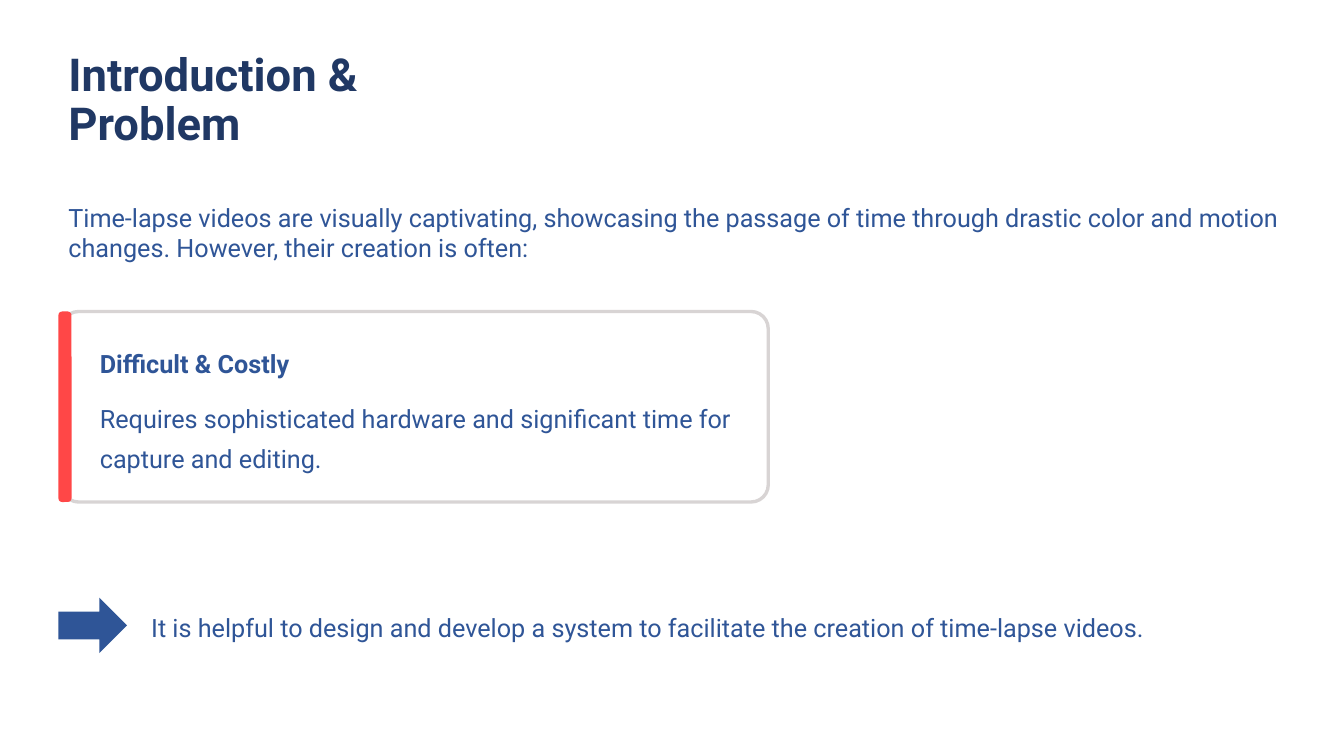
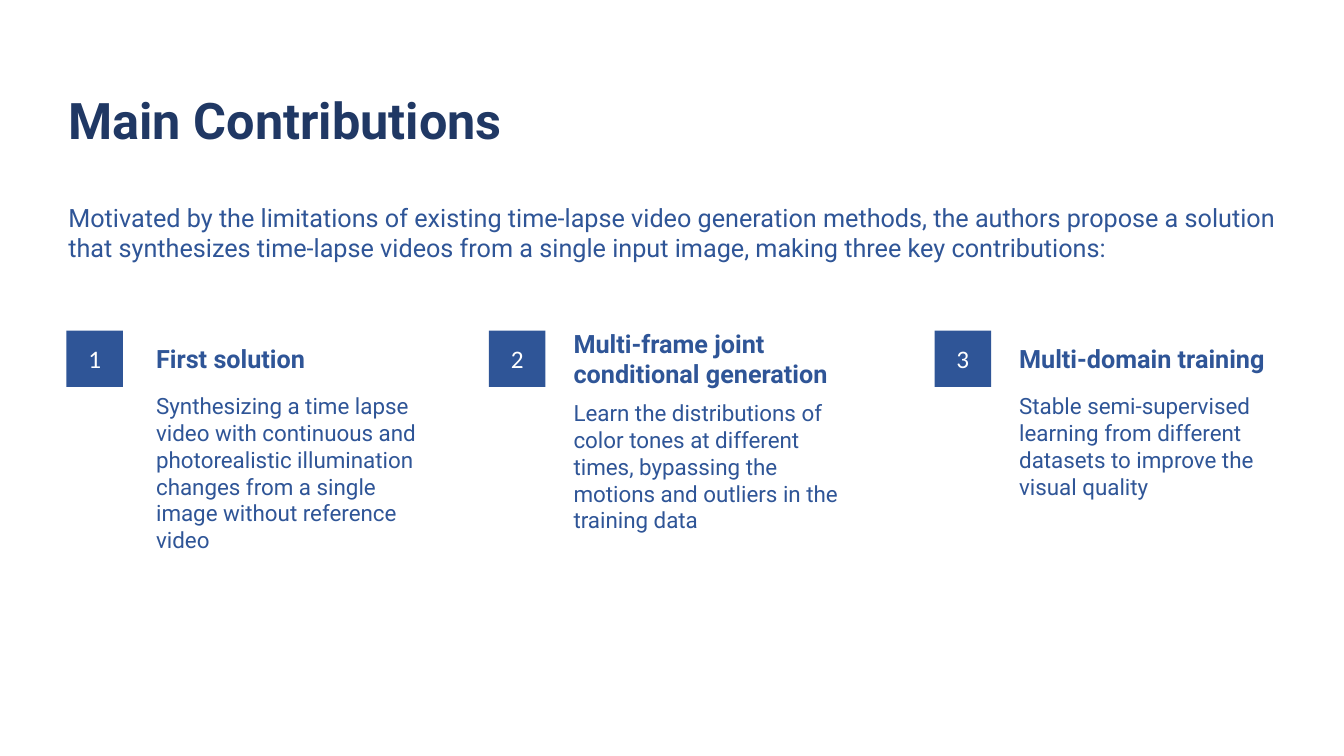
from dataclasses import dataclass

from pptx import Presentation
from pptx.dml.color import RGBColor as RGB
from pptx.enum.shapes import MSO_SHAPE as Shape
from pptx.enum.text import MSO_ANCHOR as Anchor, PP_ALIGN as Align
from pptx.util import Inches, Pt


@dataclass(frozen=True)
class Theme:
    navy: RGB = RGB(0x20, 0x38, 0x64)
    blue: RGB = RGB(0x2F, 0x55, 0x97)
    red: RGB = RGB(0xFF, 0x47, 0x47)
    grey: RGB = RGB(0xD8, 0xD4, 0xD4)
    white: RGB = RGB(0xFF, 0xFF, 0xFF)
    font: str = "Roboto"
    badge_font: str = "Calibri"
    title: float = 36
    long_title: float = 32.4
    body: float = 18
    small: float = 16
    left: float = 0.58


class Deck:
    """Holds the theme, the presentation and the current slide."""

    def __init__(self, theme):
        self.t = theme
        self.prs = Presentation()
        self.prs.slide_width, self.prs.slide_height = Inches(13.33), Inches(7.5)

    def slide(self, title, intro, title_width, title_size):
        """Start a slide with the shared title and introduction."""
        self.s = self.prs.slides.add_slide(self.prs.slide_layouts[6])
        self.text(title, self.t.left, 0.85, title_width, 0.69, size=title_size,
                  color=self.t.navy, bold=True, spacing=0.9, anchor=Anchor.BOTTOM)
        self.text(intro, self.t.left, 1.96, 12.25, 0.71)

    def paragraph(self, tf, text, size, color, font, bold=False):
        p = tf.paragraphs[0]
        p.text = text
        p.font.name, p.font.size, p.font.bold = font, Pt(size), bold
        p.font.color.rgb = color
        return p

    def text(self, text, x, y, w, h, size=None, color=None, bold=False,
             spacing=None, anchor=Anchor.TOP, inset=True, wrap=True):
        box = self.s.shapes.add_textbox(Inches(x), Inches(y), Inches(w), Inches(h))
        tf = box.text_frame
        tf.word_wrap, tf.vertical_anchor = wrap, anchor
        if not inset:
            tf.margin_left = tf.margin_right = tf.margin_top = tf.margin_bottom = 0
        p = self.paragraph(tf, text, size or self.t.body, color or self.t.blue,
                           self.t.font, bold)
        if spacing:
            p.line_spacing = spacing

    def shape(self, kind, x, y, w, h, fill, line=None, radius=None):
        sp = self.s.shapes.add_shape(kind, Inches(x), Inches(y), Inches(w), Inches(h))
        sp.shadow.inherit = False
        sp.fill.solid()
        sp.fill.fore_color.rgb = fill
        if line:
            sp.line.color.rgb, sp.line.width = line, Pt(2.4)
        else:
            sp.line.fill.background()
        if radius is not None:
            sp.adjustments[0] = radius
        return sp

    def card(self, heading, text, y, h):
        """Outlined card with a red edge."""
        t = self.t
        self.shape(Shape.ROUNDED_RECTANGLE, 0.61, y, 7.01, h, t.white, t.grey, 0.09)
        self.shape(Shape.ROUNDED_RECTANGLE, t.left, y, 0.13, h, t.red, radius=0.28)
        self.text(heading, 0.99, y + 0.28, 3.1, 0.39, bold=True,
                  spacing=Pt(27.5), inset=False, wrap=False)
        self.text(text, 0.99, y + 0.82, 6.35, 0.79, spacing=Pt(28.5), inset=False)

    def arrow_note(self, text, y):
        self.shape(Shape.RIGHT_ARROW, self.t.left, y, 0.68, 0.55, self.t.blue)
        self.text(text, 1.5, y + 0.05, 11.26, 0.44, spacing=Pt(28.5), inset=False)

    def contribution(self, number, heading, text, badge_x, text_x, w, lines):
        """Numbered badge, a heading centred on it, and text below."""
        side, top = 0.56, 3.28
        sp = self.shape(Shape.RECTANGLE, badge_x, top, side, side, self.t.blue)
        sp.text_frame.vertical_anchor = Anchor.MIDDLE
        p = self.paragraph(sp.text_frame, str(number), self.t.body, self.t.white,
                           self.t.badge_font)
        p.alignment = Align.CENTER
        h = 0.1 + 0.3 * lines
        y = top + (side - h) / 2
        self.text(heading, text_x, y, w, h, bold=True)
        # One-line headings leave a small gap before the text
        text_y = y + h + (0.08 if lines == 1 else 0)
        self.text(text, text_x, text_y, 2.91, 1.72, size=self.t.small)


def main():
    t = Theme()
    deck = Deck(t)

    # Introduction
    deck.slide("Introduction & Problem",
               "Time-lapse videos are visually captivating, showcasing the passage of "
               "time through drastic color and motion changes. However, their creation "
               "is often:", 4.71, t.long_title)
    deck.card("Difficult & Costly",
              "Requires sophisticated hardware and significant time for capture and "
              "editing.", 3.09, 1.89)
    deck.arrow_note("It is helpful to design and develop a system to facilitate the "
                    "creation of time-lapse videos.", 5.93)

    # Contributions
    deck.slide("Main Contributions",
               "Motivated by the limitations of existing time-lapse video generation "
               "methods, the authors propose a solution that synthesizes time-lapse "
               "videos from a single input image, making three key contributions:",
               5.81, t.title)
    # Heading, text, badge left, text left, heading width, heading lines
    contributions = [
        ("First solution",
         "Synthesizing a time lapse video with continuous and photorealistic "
         "illumination changes from a single image without reference video",
         0.66, 1.45, 2.17, 1),
        ("Multi-frame joint conditional generation",
         "Learn the distributions of color tones at different times, bypassing the "
         "motions and outliers in the training data",
         4.85, 5.59, 3.19, 2),
        ("Multi-domain training",
         "Stable semi-supervised learning from different datasets to improve the "
         "visual quality",
         9.27, 10.01, 2.66, 1),
    ]
    for number, item in enumerate(contributions, 1):
        deck.contribution(number, *item)

    deck.prs.save("out.pptx")


if __name__ == "__main__":
    main()
